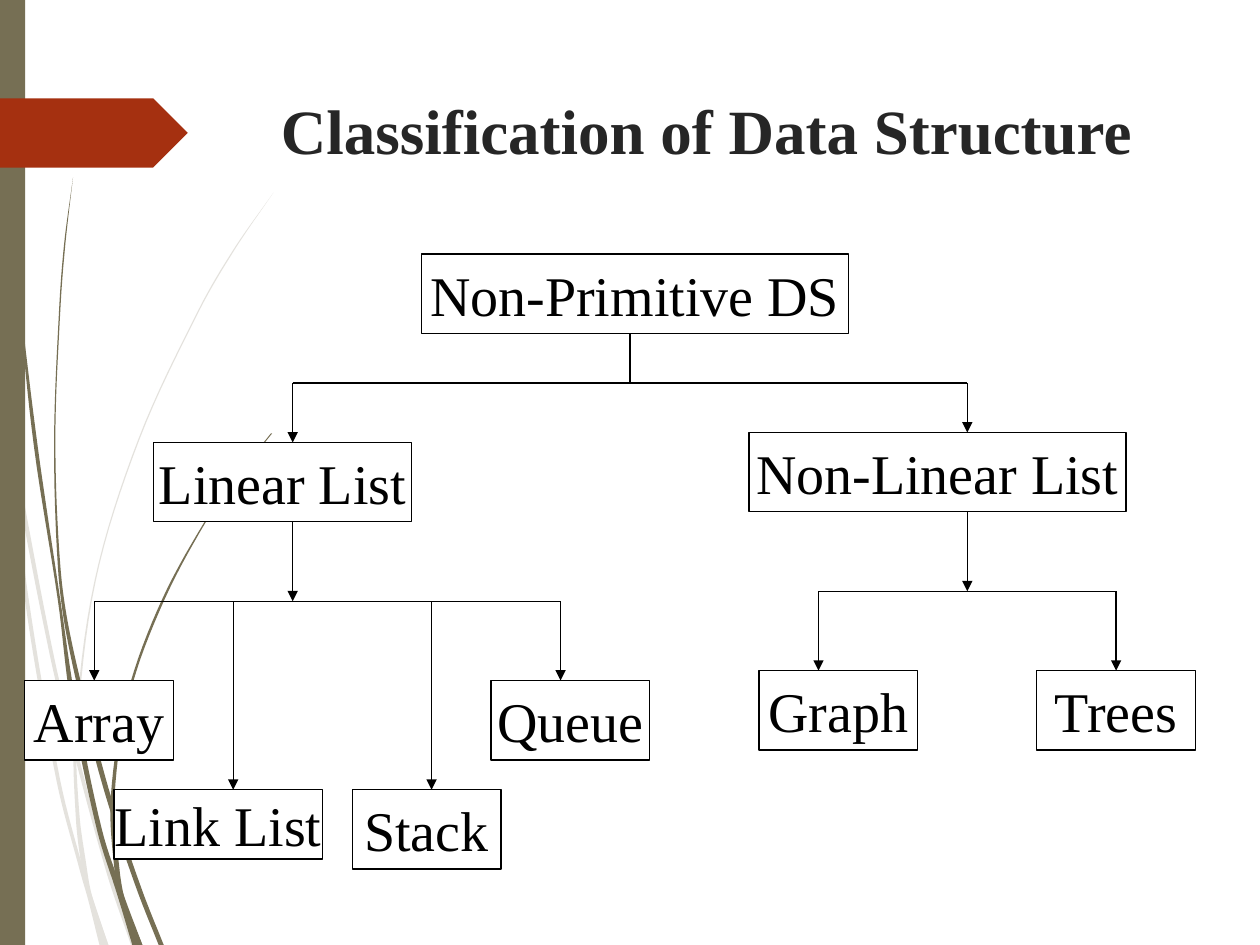
from lxml import etree
from pptx import Presentation
from pptx.dml.color import RGBColor
from pptx.enum.shapes import MSO_CONNECTOR, MSO_SHAPE
from pptx.enum.text import MSO_ANCHOR, PP_ALIGN
from pptx.oxml.ns import qn
from pptx.util import Inches, Pt

STRAIGHT = MSO_CONNECTOR.STRAIGHT
RECTANGLE, PENTAGON = MSO_SHAPE.RECTANGLE, MSO_SHAPE.PENTAGON
MIDDLE, TOP = MSO_ANCHOR.MIDDLE, MSO_ANCHOR.TOP
CENTER, LEFT = PP_ALIGN.CENTER, PP_ALIGN.LEFT

COLORS = {name: RGBColor.from_string(value) for name, value in {
    "olive": "766F54", "pale": "E4E2DD", "red": "A53010",
    "title": "262626", "ink": "000000", "paper": "FFFFFF"}.items()}

deck = Presentation()
deck.slide_width, deck.slide_height = Inches(10), Inches(7.5)
page = deck.slides.add_slide(deck.slide_layouts[5])

# The diagram sits on a grid of 127 columns across the slide
CELL = deck.slide_width / 127
FIRST_COLUMN, FIRST_ROW = 0.5, 25.6


def grid_point(column, row):
    return round((FIRST_COLUMN + column) * CELL), round((FIRST_ROW + row) * CELL)


def write(shape, text, anchor, alignment, wrap, font):
    frame = shape.text_frame
    frame.word_wrap, frame.vertical_anchor = wrap, anchor
    para = frame.paragraphs[0]
    para.alignment = alignment
    span = para.add_run()
    span.text = text
    span.font.color.rgb = font["color"]
    for name, value in font["format"].items():
        setattr(span.font, name, value)


# Grass blades: (y, left edge, right edge) in inches, from tip to foot
blades = [
    ("pale", [(2.82, 0, 0), (3, 0, 0.02), (3.5, 0.08, 0.09), (4.7, 0.19, 0.22),
              (6.2, 0.45, 0.48), (6.93, 0.64, 0.67), (7.14, 0.7, 0.74), (7.5, 0.79, 0.86)]),
    ("pale", [(3.45, 0.1, 0.1), (3.76, 0.12, 0.15), (5.22, 0.4, 0.43), (5.99, 0.59, 0.62),
              (6.94, 0.85, 0.88), (7.5, 1.04, 1.08)]),
    ("pale", [(1.53, 2.17, 2.17), (1.97, 1.86, 1.87), (2.45, 1.58, 1.59), (3.48, 1.1, 1.11),
              (4.61, 0.75, 0.76), (5.84, 0.59, 0.61), (6.46, 0.6, 0.63), (6.83, 0.64, 0.68),
              (7.11, 0.7, 0.73), (7.5, 0.82, 0.86)]),
    ("olive", [(2.33, 0.14, 0.15), (3.55, 0.27, 0.3), (4.77, 0.46, 0.48), (5.57, 0.56, 0.6),
               (6.59, 0.77, 0.81), (7.1, 0.93, 0.98), (7.5, 1.05, 1.13)]),
    ("olive", [(1.41, 0.58, 0.58), (1.93, 0.51, 0.52), (2.45, 0.47, 0.48), (3.49, 0.43, 0.44),
               (4.5, 0.46, 0.48), (5.05, 0.53, 0.56), (5.92, 0.73, 0.77), (6.45, 0.88, 0.92),
               (7.07, 1.09, 1.13), (7.5, 1.26, 1.3)]),
    ("olive", [(3.44, 2.15, 2.16), (3.74, 1.91, 1.92), (4.05, 1.68, 1.69), (4.75, 1.29, 1.31),
               (5.51, 1.01, 1.03), (6.32, 0.88, 0.91), (6.91, 0.91, 0.95), (7.17, 0.97, 1),
               (7.5, 1.08, 1.13)]),
]
STEPS = 8
for color, knots in blades:
    last = len(knots) - 1
    edges = []
    for side in (1, 2):
        # Hermite curve with the slope at each knot taken from its neighbours
        slopes = []
        for i in range(last + 1):
            before, after = knots[max(i - 1, 0)], knots[min(i + 1, last)]
            slopes.append((after[side] - before[side]) / (after[0] - before[0]))
        edge = []
        for i in range(last):
            start, end = knots[i], knots[i + 1]
            height = end[0] - start[0]
            for step in range(STEPS + (i == last - 1)):
                t = step / STEPS
                x = ((1 + 2 * t) * (1 - t) ** 2 * start[side] + t * t * (3 - 2 * t) * end[side]
                     + height * t * (1 - t) * ((1 - t) * slopes[i] - t * slopes[i + 1]))
                edge.append((Inches(x), Inches(start[0] + height * t)))
        edges.append(edge)
    outline = edges[0] + edges[1][::-1]
    builder = page.shapes.build_freeform(*outline[0])
    builder.add_line_segments(outline[1:], close=True)
    blade = builder.convert_to_shape()
    blade.shadow.inherit = False
    blade.fill.solid()
    blade.fill.fore_color.rgb = COLORS[color]
    blade.line.fill.background()

# Side bar and arrow tag
for kind, color, place in [(RECTANGLE, "olive", (0, 0, 0.2, 7.5)),
                           (PENTAGON, "red", (0, 0.78, 1.49, 0.55))]:
    accent = page.shapes.add_shape(kind, *map(Inches, place))
    accent.shadow.inherit = False
    accent.fill.solid()
    accent.fill.fore_color.rgb = COLORS[color]
    accent.line.fill.background()

# Title
title = page.shapes.title
title.left, title.top, title.width, title.height = map(Inches, (2.13, 0.68, 7.21, 1.4))
write(title, "Classification of Data Structure", TOP, LEFT, True, {
    "color": COLORS["title"],
    "format": {"name": "Times New Roman", "size": Pt(36), "bold": True}})

# Lines of the tree: from column, row to column, row, arrowhead
BRANCH, LIST_BUS, PAIR_BUS = 13, 35, 34
links = [
    (63, 8, 63, BRANCH, False), (29, BRANCH, 97, BRANCH, False),
    (29, BRANCH, 29, 19, True), (97, BRANCH, 97, 18, True),
    (29, 27, 29, LIST_BUS, True), (9, LIST_BUS, 56, LIST_BUS, False),
    (97, 26, 97, PAIR_BUS, True), (82, PAIR_BUS, 112, PAIR_BUS, False),
]
links += [(column, LIST_BUS, column, row, True)
          for column, row in [(9, 43), (23, 54), (43, 54), (56, 43)]]
links += [(column, PAIR_BUS, column, 42, True) for column in (82, 112)]
for from_column, from_row, to_column, to_row, arrow in links:
    link = page.shapes.add_connector(STRAIGHT, *grid_point(from_column, from_row),
                                     *grid_point(to_column, to_row))
    link.line.color.rgb, link.line.width = COLORS["ink"], Pt(0.75)
    if arrow:
        etree.SubElement(link.line._get_or_add_ln(), qn("a:tailEnd"), type="triangle")
    etree.SubElement(link._element.spPr, qn("a:effectLst"))

# Boxes of the tree: text, column, row, columns wide, rows high
boxes = [
    ("Non-Primitive DS", 42, 0, 43, 8),
    ("Linear List", 15, 19, 26, 8), ("Non-Linear List", 75, 18, 38, 8),
    ("Array", 2, 43, 15, 8), ("Link List", 11, 54, 21, 7),
    ("Stack", 35, 54, 15, 8), ("Queue", 49, 43, 16, 8),
    ("Graph", 76, 42, 16, 8), ("Trees", 104, 42, 16, 8),
]
for text, column, row, wide, high in boxes:
    box = page.shapes.add_shape(RECTANGLE, *grid_point(column, row),
                                round(wide * CELL), round(high * CELL))
    box.shadow.inherit = False
    box.fill.solid()
    box.fill.fore_color.rgb = COLORS["paper"]
    box.line.color.rgb, box.line.width = COLORS["ink"], Pt(0.75)
    write(box, text, MIDDLE, CENTER, False, {
        "color": COLORS["ink"],
        "format": {"name": "Times New Roman", "size": Pt(32)}})

deck.save("out.pptx")
